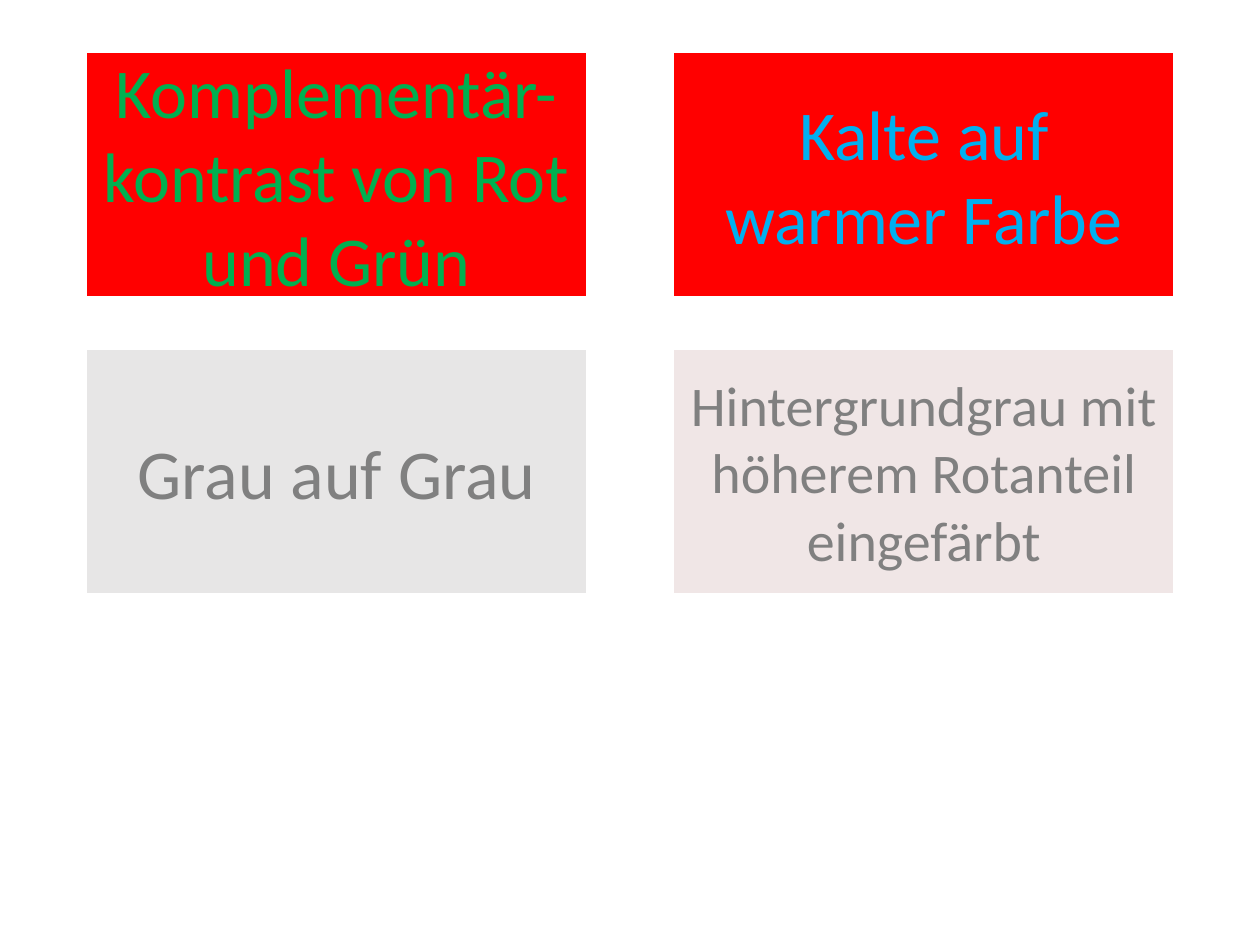
from dataclasses import dataclass

import pptx
import pptx.dml.color
import pptx.enum.shapes
import pptx.enum.text
import pptx.util

Cm = pptx.util.Cm

COLORS = {
    "white": "FFFFFF",
    "red": "FF0000",
    "green": "00B050",
    "blue": "00B0F0",
    "gray": "808080",
    "light_gray": "E7E6E6",
    "reddish_gray": "F0E6E6",
}

LEFT, TOP = 1.73, 1.04
WIDTH, HEIGHT = 10.11, 4.95
COLUMN_STEP, ROW_STEP = 11.84, 5.99


@dataclass(frozen=True)
class ContrastCard:
    row: int
    column: int
    text: str
    fill: str
    color: str
    size: int = 40


CARDS = [
    ContrastCard(0, 0, "Komplementär-kontrast von Rot und Grün", "red", "green"),
    ContrastCard(0, 1, "Kalte auf warmer Farbe", "red", "blue"),
    ContrastCard(1, 0, "Grau auf Grau", "light_gray", "gray"),
    ContrastCard(1, 1, "Hintergrundgrau mit höherem Rotanteil eingefärbt",
                 "reddish_gray", "gray", 32),
]


def rgb(name: str) -> pptx.dml.color.RGBColor:
    return pptx.dml.color.RGBColor.from_string(COLORS[name])


def write_text(tf, text: str, *, size: int, color: str, font: str = "Calibri") -> None:
    tf.word_wrap = True
    tf.vertical_anchor = pptx.enum.text.MSO_ANCHOR.MIDDLE
    p = tf.paragraphs[0]
    p.alignment = pptx.enum.text.PP_ALIGN.CENTER
    r = p.add_run()
    r.text = text
    r.font.name = font
    r.font.size = pptx.util.Pt(size)
    r.font.color.rgb = rgb(color)


def draw_card(s, card: ContrastCard) -> None:
    sp = s.shapes.add_shape(
        pptx.enum.shapes.MSO_SHAPE.RECTANGLE,
        Cm(LEFT + card.column * COLUMN_STEP),
        Cm(TOP + card.row * ROW_STEP),
        Cm(WIDTH),
        Cm(HEIGHT),
    )
    sp.shadow.inherit = False
    sp.fill.solid()
    sp.fill.fore_color.rgb = rgb(card.fill)
    sp.line.color.rgb = rgb("white")
    sp.line.width = pptx.util.Pt(1.5)
    write_text(sp.text_frame, card.text, size=card.size, color=card.color)


def main() -> None:
    prs = pptx.Presentation()
    prs.slide_width, prs.slide_height = Cm(25.4), Cm(19.05)
    s = prs.slides.add_slide(prs.slide_layouts[6])
    for card in CARDS:
        draw_card(s, card)
    prs.save("out.pptx")


if __name__ == "__main__":
    main()
